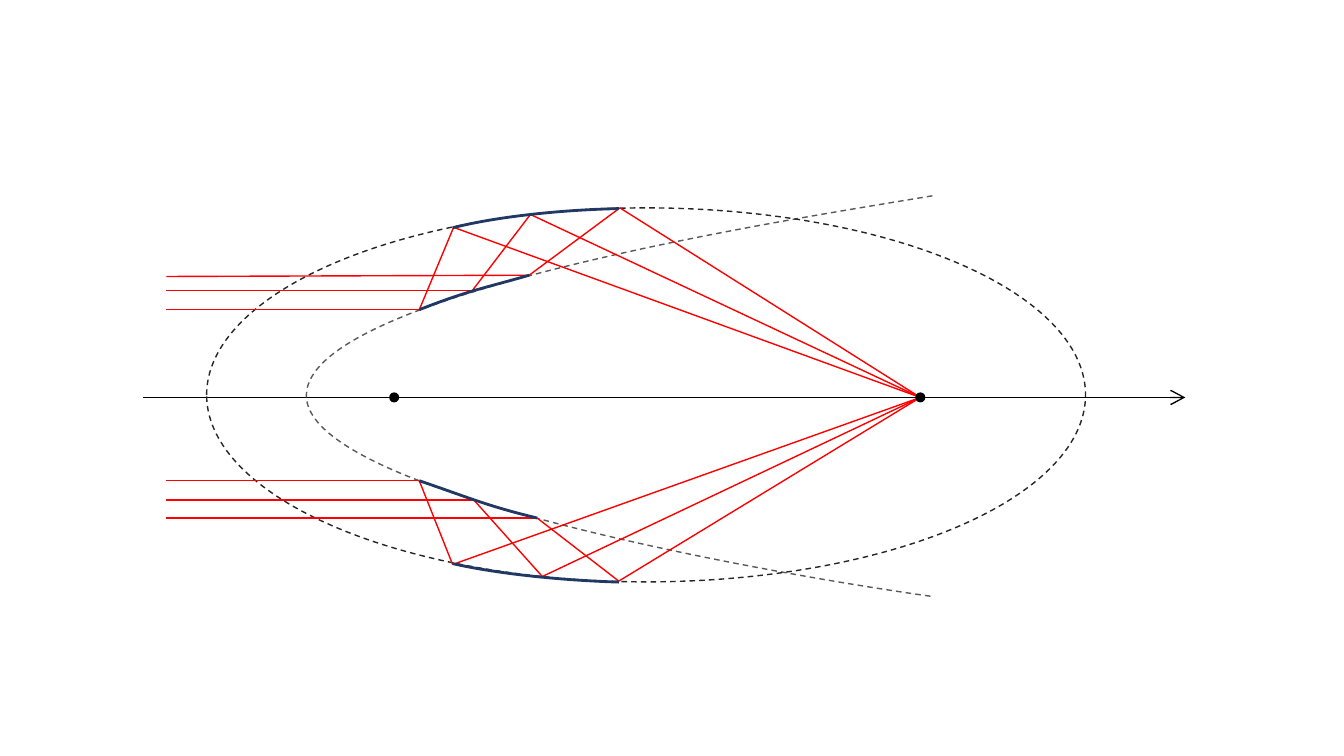
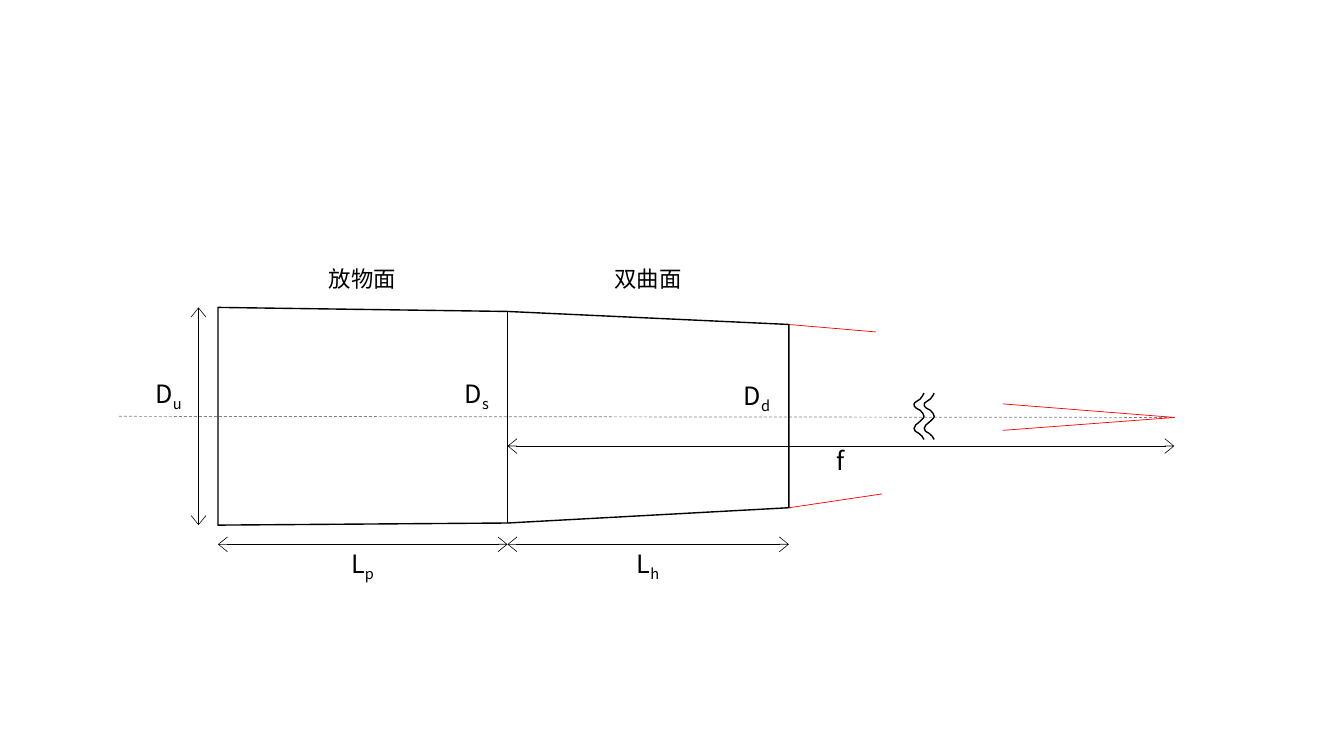
import dataclasses
import typing

import lxml.etree
import pptx
import pptx.dml.color
import pptx.enum.dml
import pptx.enum.shapes
import pptx.enum.text
import pptx.oxml.ns
import pptx.slide
import pptx.util

Pt = pptx.util.Pt
qn = pptx.oxml.ns.qn
Point = tuple[float, float]

# Shared style
FONT = "Noto Sans CJK JP"
HUES = {"ink": "000000", "ray": "FF0000", "mirror": "203864",
        "guide": "595959", "shell": "262626", "axis": "808080"}
LEFT = pptx.enum.text.PP_ALIGN.LEFT
MID = pptx.enum.text.PP_ALIGN.CENTER


@dataclasses.dataclass(frozen=True)
class Pen:
    hue: str
    width: float = 1
    dash: bool = False


@dataclasses.dataclass(frozen=True)
class Ray:
    start: float
    inner: Point
    outer: Point


@dataclasses.dataclass(frozen=True)
class Label:
    text: str
    left: float
    top: float
    width: float
    sub: str = ""
    size: float = 18
    height: float = 28.8
    align: typing.Any = MID


INK, THIN = Pen("ink"), Pen("ink", 0.5)
RED, FINE = Pen("ray"), Pen("ray", 0.5)
MIRROR = Pen("mirror", 2)


# Drawing tools
def color(hue: str) -> pptx.dml.color.RGBColor:
    return pptx.dml.color.RGBColor.from_string(HUES[hue])


def stroke(shape: typing.Any, pen: Pen) -> None:
    shape.line.color.rgb = color(pen.hue)
    shape.line.width = Pt(pen.width)
    if pen.dash:
        shape.line.dash_style = pptx.enum.dml.MSO_LINE.DASH


def link(slide: pptx.slide.Slide, start: Point, end: Point, pen: Pen,
         ends: tuple[str, ...] = (), length: str = "med") -> None:
    kind = pptx.enum.shapes.MSO_CONNECTOR.STRAIGHT
    line = slide.shapes.add_connector(kind, *map(Pt, start + end))
    stroke(line, pen)
    props = line._element.spPr
    for end_tag in ends:
        lxml.etree.SubElement(props.find(qn("a:ln")), qn(end_tag),
                              type="arrow", w="lg", len=length)
    lxml.etree.SubElement(props, qn("a:effectLst"))


def span(slide: pptx.slide.Slide, start: Point, end: Point) -> None:
    link(slide, start, end, THIN, ("a:headEnd", "a:tailEnd"))


def oval(slide: pptx.slide.Slide, left: float, top: float, width: float,
         height: float, pen: Pen | None = None) -> None:
    kind = pptx.enum.shapes.MSO_SHAPE.OVAL
    shape = slide.shapes.add_shape(kind, *map(Pt, (left, top, width, height)))
    shape.shadow.inherit = False
    if pen:
        shape.fill.background()
        stroke(shape, pen)
    else:
        shape.fill.solid()
        shape.fill.fore_color.rgb = color("ink")
        shape.line.fill.background()


def trace(slide: pptx.slide.Slide, points: list[Point], pen: Pen,
          close: bool = False) -> typing.Any:
    spots = [(Pt(x), Pt(y)) for x, y in points]
    form = slide.shapes.build_freeform(*spots[0])
    form.add_line_segments(spots[1:], close=close)
    shape = form.convert_to_shape()
    shape.shadow.inherit = False
    shape.fill.background()
    stroke(shape, pen)
    return shape


def curve(slide: pptx.slide.Slide, knots: list[Point], pen: Pen) -> None:
    """Draw joined cubic arcs: a start, then three points per arc."""
    shape = trace(slide, knots, pen)
    legs = list(shape._element.iter(qn("a:lnTo")))
    for first in range(0, len(legs), 3):
        arc = lxml.etree.SubElement(legs[first].getparent(),
                                    qn("a:cubicBezTo"))
        for leg in legs[first:first + 3]:
            arc.append(leg[0])
            leg.getparent().remove(leg)


def write(slide: pptx.slide.Slide, label: Label) -> None:
    box = slide.shapes.add_textbox(
        *map(Pt, (label.left, label.top, label.width, label.height)))
    frame = box.text_frame
    frame.word_wrap = False
    frame.auto_size = pptx.enum.text.MSO_AUTO_SIZE.SHAPE_TO_FIT_TEXT
    para = frame.paragraphs[0]
    para.alignment = label.align
    para.font.size = Pt(label.size)
    para.font.name = FONT
    para.font.color.rgb = color("ink")
    base = para._p.pPr.find(qn("a:defRPr"))
    lxml.etree.SubElement(base, qn("a:ea"), typeface=FONT)
    para.add_run().text = label.text
    if label.sub:
        run = para.add_run()
        run.text = label.sub
        run._r.get_or_add_rPr().set("baseline", "-25000")


# Slide 1: rays through nested mirrors
AXIS = 283.9
FOCUS = (657.4, AXIS)
ENTRY = 118.8
DOT = 7.2
BOWL = [(666, 139.9), (573.1, 155.6), (219.6, 208.8), (218.9, 282.2),
        (217.4, 352.1), (553.7, 410.4), (666.7, 426.2)]
RAYS = [
    Ray(221.3, (299.5, 221.3), (324, 162.4)),
    Ray(207.4, (337.5, 207.4), (378.9, 153.2)),
    Ray(197.5, (378, 196.6), (442.8, 148.5)),
    Ray(343.4, (299.5, 343.4), (323.3, 403.2)),
    Ray(357.1, (338.4, 357.1), (387.4, 411.8)),
    Ray(370.1, (383.8, 370.1), (442, 415.1)),
]
PLATES = [
    [(442.1, 415.8), (404.6, 414.7), (357.8, 410.4), (323.3, 402.6)],
    [(442.1, 149), (404.6, 149.8), (357.8, 154.1), (323.3, 162.7)],
    [(378, 196.6), (345.6, 205.9), (334.8, 207.4), (299.5, 221.2)],
    [(383.8, 370.1), (347.8, 361.4), (335.5, 355.7), (299.5, 343.4)],
]


def optics(slide: pptx.slide.Slide) -> None:
    link(slide, (102.2, AXIS), (846.7, AXIS), INK, ("a:tailEnd",), "lg")
    curve(slide, BOWL, Pen("guide", dash=True))
    oval(slide, 147.6, 148.5, 627.8, 267.1, Pen("shell", dash=True))
    for ray in RAYS:
        stops = [(ENTRY, ray.start), ray.inner, ray.outer, FOCUS]
        for start, end in zip(stops, stops[1:]):
            link(slide, start, end, RED)
    for x in (281.6, FOCUS[0]):
        oval(slide, x - DOT / 2, AXIS - DOT / 2, DOT, DOT)
    for plate in PLATES:
        curve(slide, plate, MIRROR)


# Slide 2: mirror sizes and focal length
FRONT, JOINT, BACK = 155.7, 362.5, 563.5
ROOF = [(FRONT, 219.6), (JOINT, 222.5), (BACK, 231.8)]
FLOOR = [(FRONT, 375.1), (JOINT, 373.6), (BACK, 362.7)]
TIP = (839.2, 298.2)
BASE = 388.8
BREAK = [
    (660, 280.8), (660, 282.2), (657.9, 283.7), (657.2, 285.1),
    (655.7, 286.6), (652.9, 287.3), (652.9, 288.7),
    (652.3, 290.9), (655.7, 292.3), (657.2, 293),
    (658.6, 294.5), (660, 295.9), (660, 297.4),
    (660, 298.8), (657.9, 300.2), (656.4, 301.7),
    (655, 303.1), (652.9, 303.8), (652.9, 306),
    (652.9, 307.4), (654.3, 308.9), (656.4, 309.6),
    (657.9, 311), (659.3, 311.8), (660, 313.9),
]
LABELS = [
    Label("放物面", 227.1, 186.1, 63.4, size=16, height=26.6),
    Label("双曲面", 431.1, 186.1, 63.4, size=16, height=26.6),
    Label("D", 104, 266.4, 35.3, "u", align=LEFT),
    Label("D", 325, 266.4, 34.6, "s", align=LEFT),
    Label("D", 524.2, 268.1, 35.3, "d", align=LEFT),
    Label("L", 243.2, 388.1, 31.7, "p"),
    Label("L", 446.7, 388.1, 32.4, "h"),
    Label("f", 590, 314.6, 20.9),
]


def sizes(slide: pptx.slide.Slide) -> None:
    link(slide, (85, 297.4), (838.8, 298.2), Pen("axis", 0.5, True))
    # Rays leaving the mirror and meeting at the focus
    link(slide, ROOF[-1], (625.7, 237.1), FINE)
    link(slide, FLOOR[-1], (630, 352.8), FINE)
    for y in (288.5, 307.4):
        link(slide, (716.2, y), TIP, FINE)
    # Mirror outline and break mark
    trace(slide, ROOF + FLOOR[::-1], INK, close=True)
    link(slide, ROOF[1], FLOOR[1], INK)
    for shift in (0, 7.3):
        curve(slide, [(x + shift, y) for x, y in BREAK], INK)
    # Dimensions
    span(slide, (141.8, ROOF[0][1]), (141.8, FLOOR[0][1]))
    span(slide, (FRONT, BASE), (JOINT, BASE))
    span(slide, (JOINT, BASE), (BACK, BASE))
    span(slide, (JOINT, 318.6), (838.8, 318.6))
    for label in LABELS:
        write(slide, label)


# Build the deck
deck = pptx.Presentation()
deck.slide_width, deck.slide_height = Pt(960), Pt(540)
for draw in (optics, sizes):
    draw(deck.slides.add_slide(deck.slide_layouts[6]))
deck.save("out.pptx")
